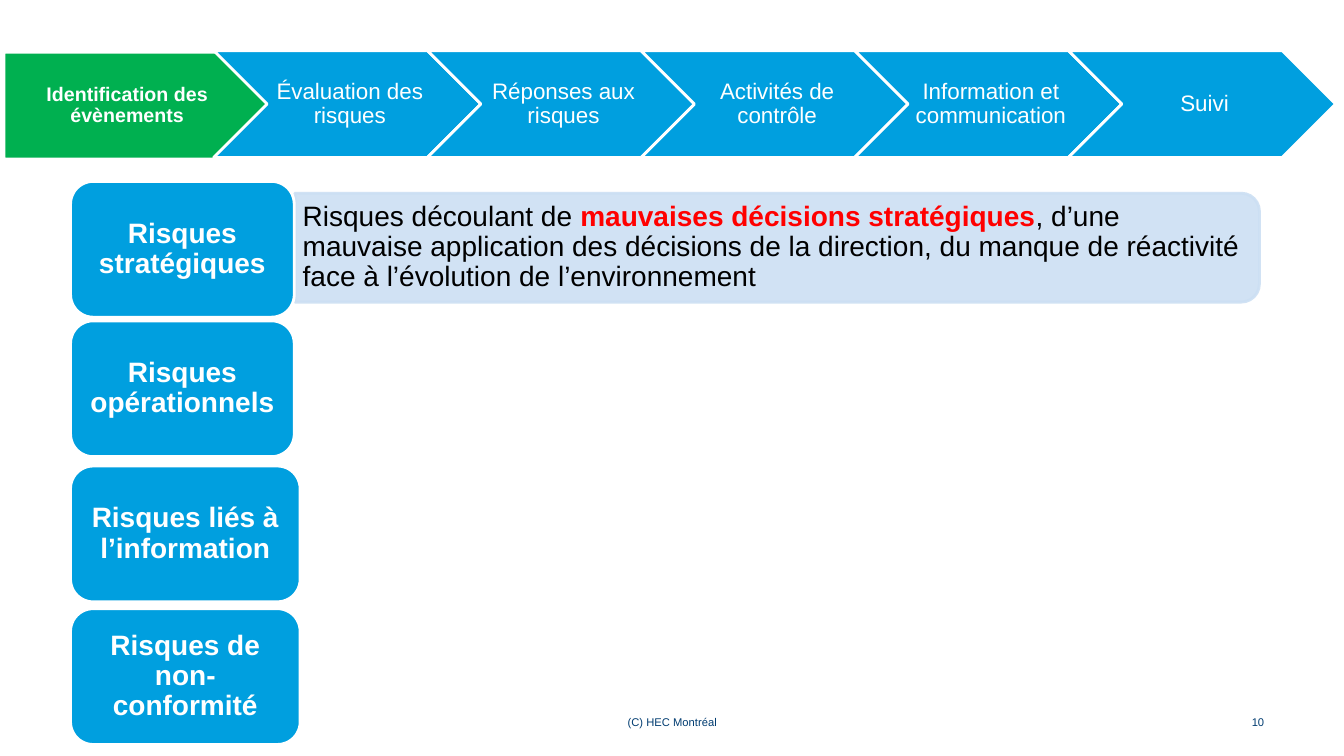
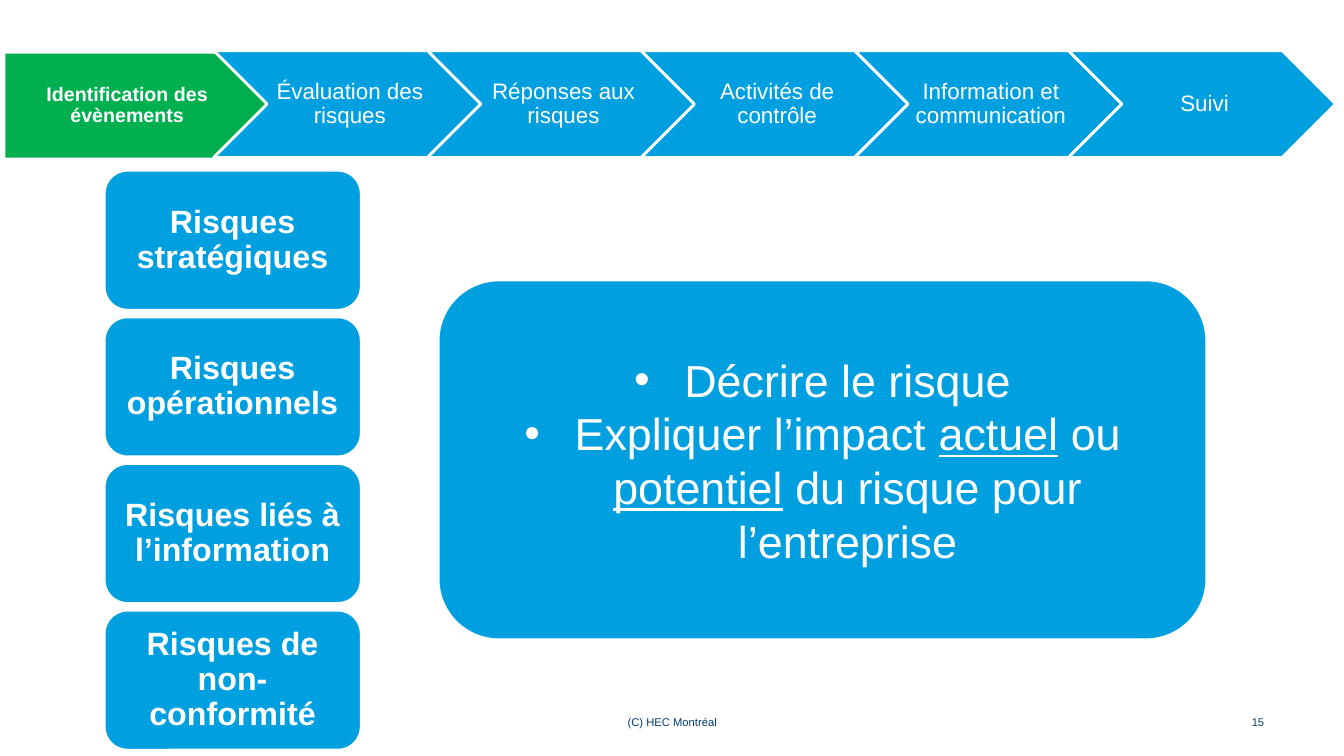
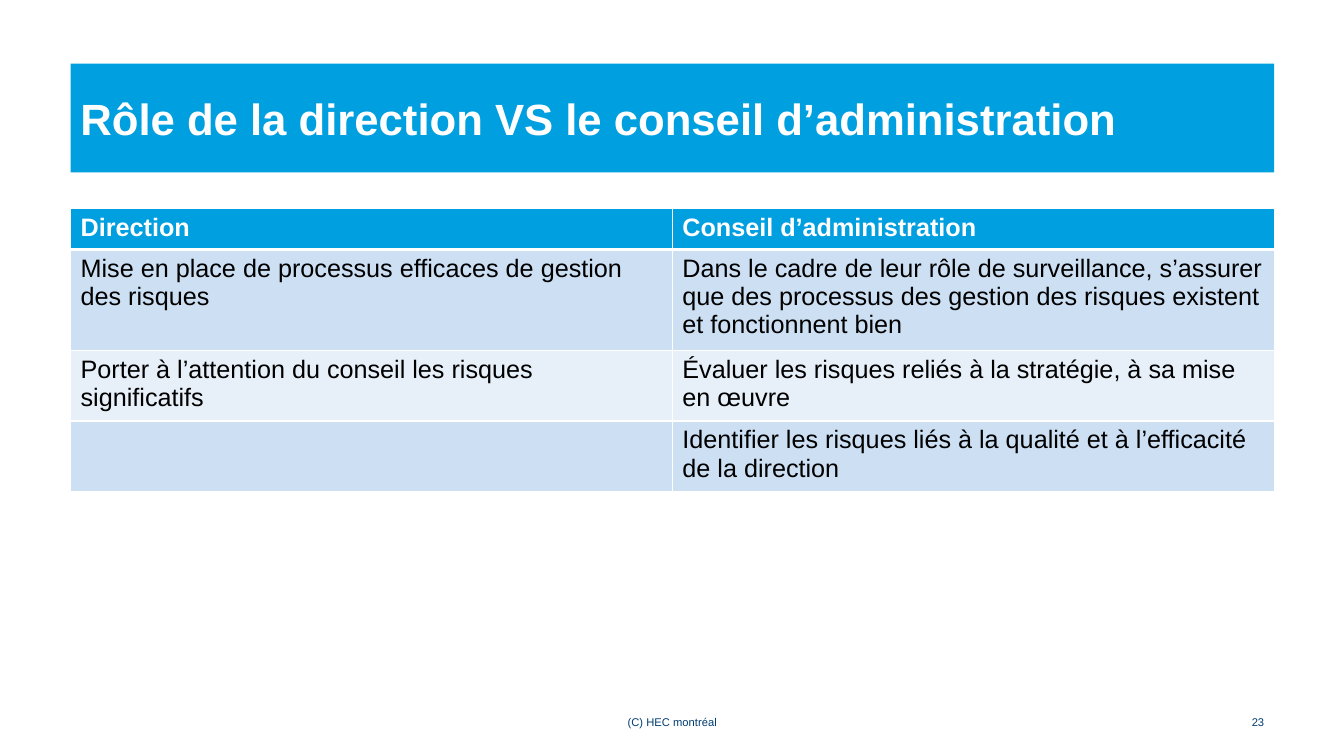
from dataclasses import dataclass

from lxml.etree import SubElement as Sub
from pptx import Presentation as Deck
from pptx.dml.color import RGBColor as Rgb
from pptx.enum.shapes import MSO_SHAPE as Kind
from pptx.enum.text import MSO_ANCHOR as Anchor, PP_ALIGN as Align
from pptx.oxml.ns import qn
from pptx.util import Pt


@dataclass(frozen=True)
class Theme:
    face: str = "Arial"
    blue: str = "009FDF"
    green: str = "00B050"
    navy: str = "003C71"
    pale: str = "CCDFF3"
    light: str = "E7F0F9"
    white: str = "FFFFFF"
    black: str = "000000"
    red: str = "FF0000"
    foot: float = 8
    stage: float = 14
    step: float = 16
    cell: float = 18
    body: float = 20
    risk: float = 23
    title: float = 31.2
    task: float = 32


T = Theme()
STEPS = ["Évaluation des risques", "Réponses aux risques", "Activités de contrôle",
         "Information et communication", "Suivi"]
RISKS = ["Risques stratégiques", "Risques opérationnels",
         "Risques liés à l’information", "Risques de non-conformité"]
THREAT = [("Risques découlant de ", {}),
          ("mauvaises décisions stratégiques", {"color": T.red, "bold": True}),
          (", d’une mauvaise application des décisions de la direction, du manque "
           "de réactivité face à l’évolution de l’environnement", {})]
LINED = {"underline": True}
TASKS = [[("Décrire le risque", {})],
         [("Expliquer l’impact ", {}), ("actuel", LINED), (" ou ", {}),
          ("potentiel", LINED), (" du risque pour l’entreprise", {})]]
ROLES = [("Direction", "Conseil d’administration"),
         ("Mise en place de processus efficaces de gestion des risques",
          "Dans le cadre de leur rôle de surveillance, s’assurer que des processus "
          "des gestion des risques existent et fonctionnent bien"),
         ("Porter à l’attention du conseil les risques significatifs",
          "Évaluer les risques reliés à la stratégie, à sa mise en œuvre"),
         ("", "Identifier les risques liés à la qualité et à l’efficacité de la direction")]


def points(vals):
    return [Pt(val) for val in vals]


def style(item, vals):
    for key, val in vals.items():
        if key == "color":
            item.color.rgb = Rgb.from_string(val)
        else:
            setattr(item, key, val)


def write(frame, paras, size, color=T.white, bold=False, align=Align.CENTER,
          inset=(7.2, 3.6, 7.2, 3.6), space=None, bullet=False):
    left, top, right, bottom = points(inset)
    style(frame, {"word_wrap": True, "vertical_anchor": Anchor.MIDDLE,
                  "margin_left": left, "margin_top": top,
                  "margin_right": right, "margin_bottom": bottom})
    base = {"name": T.face, "size": Pt(size), "bold": bold, "color": color}
    for i, runs in enumerate(paras):
        para = frame.add_paragraph() if i else frame.paragraphs[0]
        style(para, {"alignment": align, "line_spacing": space})
        if bullet:
            props = para._p.get_or_add_pPr()
            props.set("marL", str(Pt(36)))
            props.set("indent", str(Pt(-36)))
            Sub(props, qn("a:buFont")).set("typeface", T.face)
            Sub(props, qn("a:buChar")).set("char", "•")
        for text, extra in runs:
            run = para.add_run()
            run.text = text
            style(run.font, base | extra)


def plain(text):
    return [[(text, {})]]


def block(slide, kind, box, fill=T.blue, line=T.white):
    shape = slide.shapes.add_shape(kind, *points(box))
    shape.shadow.inherit = False
    shape.fill.solid()
    shape.fill.fore_color.rgb = Rgb.from_string(fill)
    if line:
        style(shape.line, {"width": Pt(2), "color": line})
    else:
        shape.line.fill.background()
    return shape


def label(slide, box, paras, size, **opts):
    write(slide.shapes.add_textbox(*points(box)).text_frame, paras, size, **opts)


def footer(slide, text, page):
    for box, words, align in [((328.3, 509, 303.8, 13), text, Align.CENTER),
                              ((861.1, 509, 49, 13), page, Align.RIGHT)]:
        label(slide, box, plain(words), T.foot, color=T.navy, align=align)


def process(slide):
    pitch, width, height = 152.64, 190.8, 76.3
    stage = block(slide, Kind.PENTAGON, (2.9, 37.4, width, height), T.green)
    write(stage.text_frame, plain("Identification des évènements"), T.stage,
          bold=True, inset=(5.6, 2.8, 1.4, 2.8), space=0.9)
    for i, text in enumerate(STEPS, 1):
        step = block(slide, Kind.CHEVRON, (i * pitch, 36.2, width, height))
        write(step.text_frame, plain(text), T.step,
              inset=(5, 3.4, 1.4, 3.4), space=0.9)


def risks(slide, boxes, size, inset):
    for text, box in zip(RISKS, boxes):
        shape = block(slide, Kind.ROUNDED_RECTANGLE, box)
        write(shape.text_frame, plain(text), size, bold=True, inset=inset, space=0.9)


def panel(slide, box, runs):
    left, top, width, height = box
    turned = (left + (width - height) / 2, top + (height - width) / 2, height, width)
    shape = block(slide, Kind.ROUND_2_SAME_RECTANGLE, turned, T.pale, T.pale)
    shape.rotation = 90
    for color in list(shape._element.spPr.iter(qn("a:srgbClr"))):
        Sub(color, qn("a:alpha")).set("val", "90000")
    label(slide, (left - 0.2, top + 4, width - 3.6, height - 8), [runs], T.body,
          color=T.black, align=Align.LEFT, inset=(5.8, 2.9, 5.8, 2.9), space=0.9)


def border(cell, widths):
    props = cell._tc.get_or_add_tcPr()
    for i, (side, width) in enumerate(zip("LRTB", widths)):
        line = props.makeelement(qn(f"a:ln{side}"), {"w": str(Pt(width))})
        fill = Sub(line, qn("a:solidFill"))
        Sub(fill, qn("a:srgbClr")).set("val", T.white)
        props.insert(i, line)


def grid(slide, left, top, width, rows, heights):
    cols = len(rows[0])
    table = slide.shapes.add_table(len(rows), cols, *points(
        (left, top, width, sum(heights)))).table
    for col in table.columns:
        col.width = Pt(width / cols)
    for r, (texts, height) in enumerate(zip(rows, heights)):
        table.rows[r].height = Pt(height)
        head = r == 0
        fill = T.blue if head else T.pale if r % 2 else T.light
        for c, text in enumerate(texts):
            cell = table.cell(r, c)
            cell.fill.solid()
            cell.fill.fore_color.rgb = Rgb.from_string(fill)
            border(cell, (1, 1, 3 if r == 1 else 1, 3 if head else 1))
            write(cell.text_frame, plain(text), T.cell, bold=head,
                  color=T.white if head else T.black, align=Align.LEFT)
            cell.vertical_anchor = Anchor.TOP


def banner(slide, text):
    shape = block(slide, Kind.RECTANGLE, (50.4, 45.4, 859.7, 77.8), line=None)
    write(shape.text_frame, plain(text), T.title, bold=True, align=Align.LEFT)


def main():
    deck = Deck()
    style(deck, {"slide_width": Pt(960), "slide_height": Pt(540)})
    first, second, third = [deck.slides.add_slide(deck.slide_layouts[6])
                            for _ in range(3)]

    process(first)
    footer(first, "(C) HEC Montréal", "10")
    panel(first, (210.6, 138, 689, 77.8), THREAT)
    spots = [(129.6, 159.8), (229.2, 159.8), (332.9, 164), (434.8, 164)]
    risks(first, [(50.4, top, width, 97) for top, width in spots],
          T.body, (5.8, 2.9, 5.8, 2.9))

    process(second)
    footer(second, "(C) HEC Montréal", "15")
    risks(second, [(74.4, 121.6 + i * 104.75, 183.6, 100) for i in range(4)],
          T.risk, (6.9, 3.5, 6.9, 3.5))
    task = block(second, Kind.ROUNDED_RECTANGLE, (314, 201, 547, 255), line=None)
    write(task.text_frame, TASKS, T.task, bullet=True)

    banner(third, "Rôle de la direction VS le conseil d’administration")
    grid(third, 50.4, 149, 859.7, ROLES, (29.3, 67.9, 47.2, 47.2))
    footer(third, "(C) HEC montréal", "23")

    deck.save("out.pptx")


if __name__ == "__main__":
    main()
